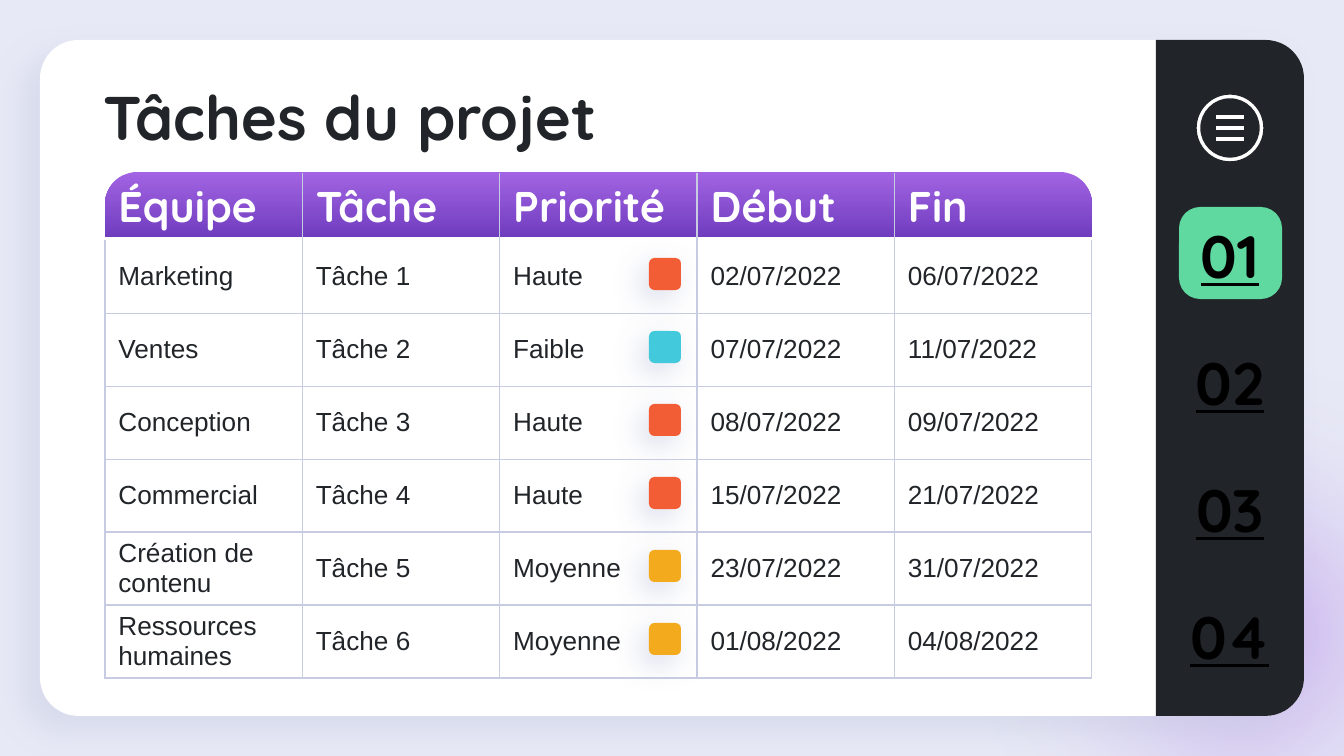
import dataclasses

import lxml.etree
import pptx
import pptx.dml.color
import pptx.enum.shapes
import pptx.enum.text
import pptx.oxml.ns
import pptx.util

SHAPES = pptx.enum.shapes.MSO_SHAPE
ANCHORS = pptx.enum.text.MSO_ANCHOR
ALIGNMENTS = pptx.enum.text.PP_ALIGN
EMU_PER_PX = 914400 / 134.4
ARC_HANDLE = 0.55
INK, WHITE, BACKGROUND, RULE = "212428", "FFFFFF", "E7E9F6", "C7CCE2"
VIOLET, DEEP_VIOLET, GREEN = "A264E3", "703DBF", "60D9A1"
PRIORITY_COLORS = {"Haute": "F35D35", "Moyenne": "F4AA1D", "Faible": "43C9DC"}

HEADINGS = ["Équipe", "Tâche", "Priorité", "Début", "Fin"]
HEADER_HEIGHT, ROW_HEIGHT = 67, 73


@dataclasses.dataclass
class Task:
    team: str
    name: str
    priority: str
    start: str
    end: str


@dataclasses.dataclass
class Box:
    left: int
    top: int
    width: int
    height: int

    def emu(self) -> list[int]:
        return [px(length) for length in dataclasses.astuple(self)]


@dataclasses.dataclass
class Stop:
    position: int
    color: str
    alpha: int = 100


@dataclasses.dataclass
class Shadow:
    alpha: int
    blur: float
    distance: float
    angle: int


TASKS = [
    Task("Marketing", "Tâche 1", "Haute", "02/07/2022", "06/07/2022"),
    Task("Ventes", "Tâche 2", "Faible", "07/07/2022", "11/07/2022"),
    Task("Conception", "Tâche 3", "Haute", "08/07/2022", "09/07/2022"),
    Task("Commercial", "Tâche 4", "Haute", "15/07/2022", "21/07/2022"),
    Task("Création de contenu", "Tâche 5", "Moyenne", "23/07/2022", "31/07/2022"),
    Task("Ressources humaines", "Tâche 6", "Moyenne", "01/08/2022", "04/08/2022"),
]
CARD_SHADOW = Shadow(47, 16.9, 12, 137)
MARKER_SHADOW = Shadow(63, 15.8, 6, 128)


def px(length: float) -> int:
    return round(length * EMU_PER_PX)


def rgb(color: str) -> pptx.dml.color.RGBColor:
    return pptx.dml.color.RGBColor.from_string(color)


def add_element(parent, tag: str, **attributes):
    element = lxml.etree.SubElement(parent, pptx.oxml.ns.qn(tag))
    for name, value in attributes.items():
        element.set(name, str(value))
    return element


def add_color(parent, color: str, alpha: int = 100) -> None:
    element = add_element(parent, "a:srgbClr", val=color)
    if alpha < 100:
        add_element(element, "a:alpha", val=alpha * 1000)


def add_panel(slide, kind, box: Box, color: str = WHITE, adjustments=(), shadow: Shadow | None = None):
    """Add a borderless filled shape, with a soft shadow if one is given."""
    shape = slide.shapes.add_shape(kind, *box.emu())
    shape.fill.solid()
    shape.fill.fore_color.rgb = rgb(color)
    shape.line.fill.background()
    shape.shadow.inherit = False
    for index, value in enumerate(adjustments):
        shape.adjustments[index] = value
    if shadow:
        effects = shape._element.spPr.find(pptx.oxml.ns.qn("a:effectLst"))
        outer = add_element(effects, "a:outerShdw", blurRad=pptx.util.Pt(shadow.blur),
                            dist=pptx.util.Pt(shadow.distance), dir=shadow.angle * 60000,
                            algn="bl", rotWithShape=0)
        add_color(outer, RULE, shadow.alpha)
    return shape


def set_gradient(shape, stops: list[Stop], radial: bool = False) -> None:
    properties = shape._element.spPr
    solid = properties.find(pptx.oxml.ns.qn("a:solidFill"))
    gradient = add_element(properties, "a:gradFill", rotWithShape=1)
    properties.replace(solid, gradient)
    stop_list = add_element(gradient, "a:gsLst")
    for stop in stops:
        add_color(add_element(stop_list, "a:gs", pos=stop.position * 1000), stop.color, stop.alpha)
    if radial:
        center = add_element(gradient, "a:path", path="circle")
        add_element(center, "a:fillToRect", l=50000, t=50000, r=50000, b=50000)
    else:
        add_element(gradient, "a:lin", ang=90 * 60000, scaled=0)


def set_font(font, name: str, size: int, color: str, bold: bool) -> None:
    font.name, font.size, font.bold = name, pptx.util.Pt(size), bold
    font.color.rgb = rgb(color)


def add_text(slide, text: str, box: Box, size: int, color: str, bottom_inset: int = 0):
    text_frame = slide.shapes.add_textbox(*box.emu()).text_frame
    text_frame.word_wrap = True
    text_frame.margin_top, text_frame.margin_bottom = 0, px(bottom_inset)
    text_frame.text = text
    set_font(text_frame.paragraphs[0].font, "Quicksand", size, color, True)
    return text_frame


def round_quarters(shape, count: int) -> None:
    """Turn the last straight segments into quarter circles around the shape's centre."""
    center = (shape.width / 2, shape.height / 2)
    points = list(shape._element.iter(pptx.oxml.ns.qn("a:pt")))
    for previous, point in list(zip(points, points[1:])):
        if point.getparent().tag != pptx.oxml.ns.qn("a:lnTo") or point not in points[-count:]:
            continue
        start, end = ([int(node.get(axis)) for axis in "xy"] for node in (previous, point))
        segment = point.getparent()
        curve = add_element(segment.getparent(), "a:cubicBezTo")
        segment.getparent().replace(segment, curve)
        for anchor, other in ((start, end), (end, start)):
            x, y = (round(a + ARC_HANDLE * (b - c)) for a, b, c in zip(anchor, other, center))
            add_element(curve, "a:pt", x=x, y=y)
        curve.append(point)


def add_menu_icon(slide, center_x: int, center_y: int) -> None:
    """Add a ring around three bars as one outline."""
    contours = [[(-15, top), (-15, top + 6), (15, top + 6), (15, top)] for top in (-14, -3, 8)]
    for radius in (29, 34):
        contours.append([(radius, 0), (0, radius), (-radius, 0), (0, -radius), (radius, 0)])
    builder = None
    for contour in contours:
        points = [(px(center_x + x), px(center_y + y)) for x, y in contour]
        if builder is None:
            builder = slide.shapes.build_freeform(*points[0])
        else:
            builder.move_to(*points[0])
        builder.add_line_segments(points[1:], close=True)
    icon = builder.convert_to_shape()
    round_quarters(icon, 9)
    icon.fill.solid()
    icon.fill.fore_color.rgb = rgb(WHITE)
    icon.line.color.rgb = rgb(INK)
    icon.line.width = pptx.util.Pt(0.75)
    icon.shadow.inherit = False


def set_borders(cell, visible: dict[str, bool]) -> None:
    properties = cell._tc.get_or_add_tcPr()
    for index, (side, shown) in enumerate(visible.items()):
        line = add_element(properties, f"a:ln{side}", w=pptx.util.Pt(0.75))
        properties.insert(index, line)
        if shown:
            add_color(add_element(line, "a:solidFill"), RULE)
        else:
            add_element(line, "a:noFill")


def add_task_table(slide, box: Box) -> None:
    rows = [HEADINGS] + [list(dataclasses.astuple(task)) for task in TASKS]
    table = slide.shapes.add_table(len(rows), len(HEADINGS), *box.emu()).table
    table.first_row = table.horz_banding = False
    for column in table.columns:
        column.width = px(box.width) // len(HEADINGS)
    for row_index, texts in enumerate(rows):
        header = row_index == 0
        table.rows[row_index].height = px(HEADER_HEIGHT if header else ROW_HEIGHT)
        for column_index, text in enumerate(texts):
            cell = table.cell(row_index, column_index)
            cell.text = text
            cell.vertical_anchor = ANCHORS.TOP if header else ANCHORS.MIDDLE
            style = ("Quicksand", 23, WHITE, True) if header else ("Arial", 14, INK, False)
            set_font(cell.text_frame.paragraphs[0].font, *style)
            cell.fill.background()
            set_borders(cell, {"L": not header or column_index > 0,
                               "R": not header or column_index < len(HEADINGS) - 1,
                               "T": row_index > 1, "B": not header})


def main() -> None:
    presentation = pptx.Presentation()
    presentation.slide_width, presentation.slide_height = px(1344), px(756)
    slide = presentation.slides.add_slide(presentation.slide_layouts[6])
    slide.background.fill.solid()
    slide.background.fill.fore_color.rgb = rgb(BACKGROUND)
    glow = add_panel(slide, SHAPES.OVAL, Box(931, 320, 626, 626))
    set_gradient(glow, [Stop(0, VIOLET, 49), Stop(62, BACKGROUND, 0), Stop(100, WHITE, 0)], radial=True)
    add_panel(slide, SHAPES.ROUNDED_RECTANGLE, Box(40, 40, 1264, 676), WHITE, [0.057], CARD_SHADOW)
    sidebar = add_panel(slide, SHAPES.ROUND_2_SAME_RECTANGLE, Box(892, 304, 676, 148), INK, [0.26, 0])
    sidebar.rotation = 90
    add_panel(slide, SHAPES.ROUNDED_RECTANGLE, Box(1179, 207, 103, 92), GREEN, [0.23])
    header = add_panel(slide, SHAPES.ROUND_2_SAME_RECTANGLE, Box(105, 172, 987, 65), VIOLET, [0.5, 0])
    set_gradient(header, [Stop(0, VIOLET), Stop(100, DEEP_VIOLET)])
    add_menu_icon(slide, 1230, 128)
    add_task_table(slide, Box(105, 173, 987, HEADER_HEIGHT + ROW_HEIGHT * len(TASKS)))
    for index, task in enumerate(TASKS):
        add_panel(slide, SHAPES.ROUNDED_RECTANGLE, Box(649, 258 + index * ROW_HEIGHT, 32, 32),
                  PRIORITY_COLORS[task.priority], [0.17], MARKER_SHADOW)
    add_text(slide, "Tâches du projet", Box(90, 79, 1001, 70), 33, INK, bottom_inset=13)
    for index in range(4):
        number = add_text(slide, f"{index + 1:02}", Box(1176, 219 + index * 127, 108, 72), 32, "000000")
        number.vertical_anchor = ANCHORS.MIDDLE
        number.auto_size = pptx.enum.text.MSO_AUTO_SIZE.SHAPE_TO_FIT_TEXT
        number.paragraphs[0].alignment = ALIGNMENTS.CENTER
        number.paragraphs[0].font.underline = True
    presentation.save("out.pptx")


if __name__ == "__main__":
    main()
